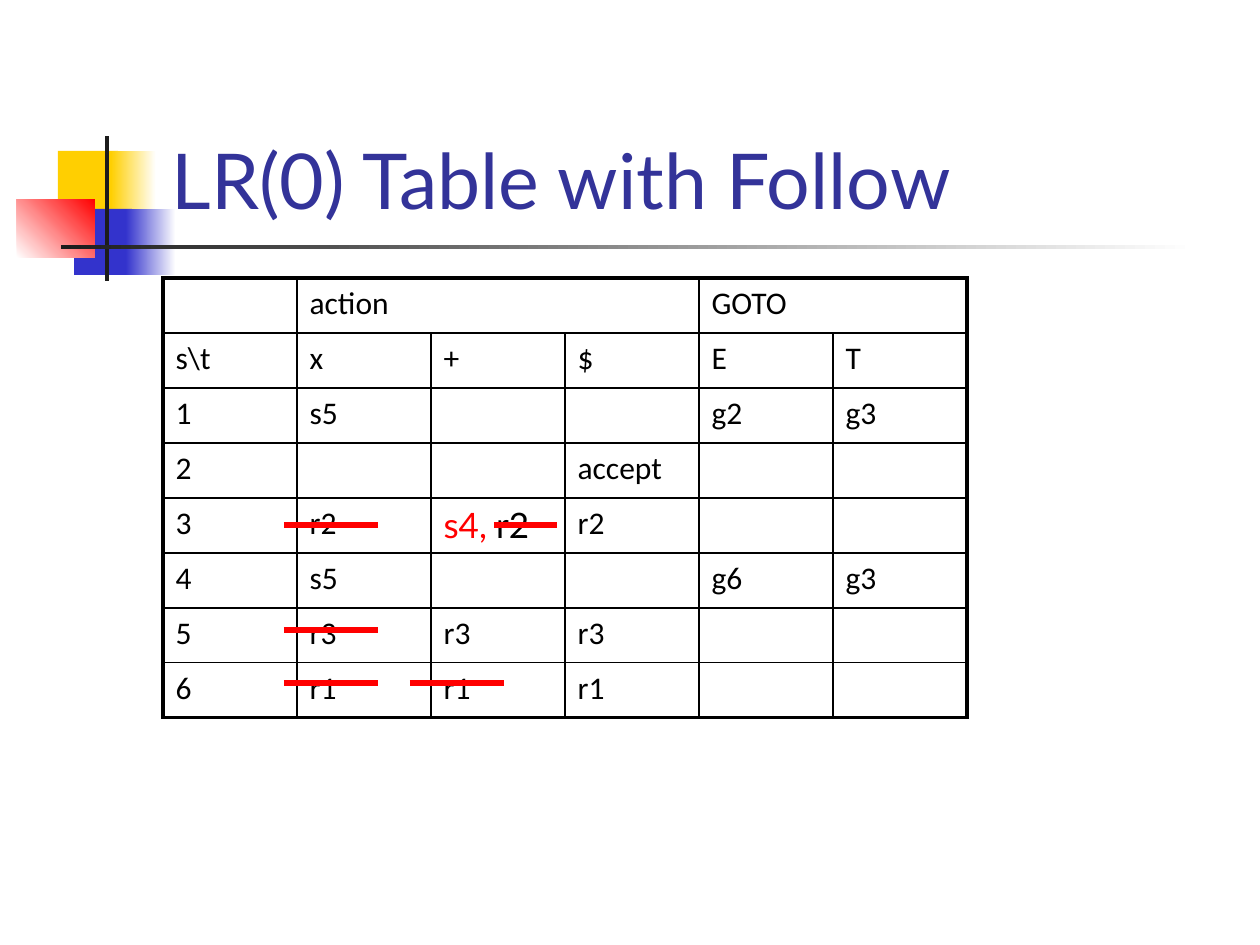
from lxml.etree import SubElement
from pptx import Presentation
from pptx.dml.color import RGBColor
from pptx.enum.shapes import MSO_CONNECTOR as CONN, MSO_SHAPE as SHAPE
from pptx.enum.text import MSO_ANCHOR as ANCHOR, MSO_AUTO_SIZE as AUTO, PP_ALIGN as ALIGN
from pptx.oxml.ns import qn
from pptx.util import Emu, Pt

BLACK, WHITE, RED = "000000", "FFFFFF", "FF0000"
YELLOW, BLUE, DARK, NAVY = "FFCF01", "3333CC", "1C1C1C", "333399"

ROWS = [
    ["", "action", "", "", "GOTO", ""],
    ["s\\t", "x", "+", "$", "E", "T"],
    ["1", "s5", "", "", "g2", "g3"],
    ["2", "", "", "accept", "", ""],
    ["3", "r2", [("s4, ", RED), ("r2", BLACK)], "r2", "", ""],
    ["4", "s5", "", "", "g6", "g3"],
    ["5", "r3", "r3", "r3", "", ""],
    ["6", "r1", "r1", "r1", "", ""],
]
SPANS = [(1, 3), (4, 5)]
DECOR = [
    (58, 151, 60, 66, YELLOW, None, 0),
    (111, 151, 45, 66, YELLOW, WHITE, 0),
    (74, 209, 58, 66, BLUE, None, 0),
    (126, 209, 50, 66, BLUE, WHITE, 0),
    (17, 199, 78, 59, WHITE, RED, 45),
    (105, 136, 4, 145, DARK, None, 0),
    (61, 245, 1134, 4, DARK, WHITE, 0),
]
STRIKES = [(284, 378, 525), (494, 557, 525), (284, 378, 630), (284, 378, 683), (410, 504, 683)]


def px(n):
    return Emu(round(n * 914400 / 126))


def rgb(value):
    return RGBColor.from_string(value)


class Deck:
    font = "Lato"

    def __init__(self, width, height):
        self.prs = Presentation()
        self.prs.slide_width, self.prs.slide_height = px(width), px(height)
        self.s = self.prs.slides.add_slide(self.prs.slide_layouts[5])

    def style(self, p, size, color, align=ALIGN.LEFT):
        p.alignment = align
        p.font.name, p.font.size = self.font, Pt(size)
        p.font.color.rgb = rgb(color)

    def title(self, x, y, w, h, text):
        sp = self.s.shapes.title
        sp.left, sp.top, sp.width, sp.height = map(px, (x, y, w, h))
        tf = sp.text_frame
        tf.text = text
        tf.vertical_anchor, tf.auto_size = ANCHOR.BOTTOM, AUTO.NONE
        self.style(tf.paragraphs[0], 44, NAVY)

    def block(self, x, y, w, h, color, fade=None, angle=0):
        sp = self.s.shapes.add_shape(SHAPE.RECTANGLE, *map(px, (x, y, w, h)))
        sp.shadow.inherit = False
        sp.line.fill.background()
        if fade:
            sp.fill.gradient()
            sp.fill.gradient_angle = angle
            for stop, value in zip(sp.fill.gradient_stops, (color, fade)):
                stop.color.rgb = rgb(value)
        else:
            sp.fill.solid()
            sp.fill.fore_color.rgb = rgb(color)

    def strike(self, x1, x2, y):
        line = self.s.shapes.add_connector(CONN.STRAIGHT, px(x1), px(y), px(x2), px(y))
        line.line.color.rgb, line.line.width = rgb(RED), Pt(3)
        SubElement(line._element.spPr, qn("a:effectLst"))

    def borders(self, cell, outer):
        tc_pr = cell._tc.get_or_add_tcPr()
        for side, thick in outer.items():
            ln = SubElement(tc_pr, qn(f"a:ln{side}"), w=str(Pt(2.25 if thick else 1)))
            fill = SubElement(ln, qn("a:solidFill"))
            SubElement(fill, qn("a:srgbClr"), val=BLACK)

    def table(self, x, y, col_w, row_h, rows, spans):
        n_rows, n_cols = len(rows), len(rows[0])
        size = px(col_w * n_cols), px(row_h * n_rows)
        tbl = self.s.shapes.add_table(n_rows, n_cols, px(x), px(y), *size).table
        tbl.first_row = tbl.horz_banding = False
        for col in tbl.columns:
            col.width = px(col_w)
        for row in tbl.rows:
            row.height = px(row_h)
        for first, last in spans:
            tbl.cell(0, first).merge(tbl.cell(0, last))
        for i, row in enumerate(rows):
            for j, content in enumerate(row):
                cell = tbl.cell(i, j)
                right = j + (cell.span_width if cell.is_merge_origin else 1)
                self.borders(cell, {"L": j == 0, "R": right == n_cols,
                                    "T": i == 0, "B": i == n_rows - 1})
                cell.fill.background()
                p = cell.text_frame.paragraphs[0]
                self.style(p, 20, BLACK, ALIGN.CENTER if i == 0 else ALIGN.LEFT)
                if isinstance(content, str):
                    cell.text = content
                else:
                    for text, color in content:
                        r = p.add_run()
                        r.text = text
                        r.font.color.rgb = rgb(color)


def main():
    deck = Deck(1260, 945)
    for block in DECOR:
        deck.block(*block)
    deck.title(159, 29, 1074, 202, "LR(0) Table with Follow")
    deck.table(163, 278, 134, 55, ROWS, SPANS)
    for strike in STRIKES:
        deck.strike(*strike)
    deck.prs.save("out.pptx")


if __name__ == "__main__":
    main()
